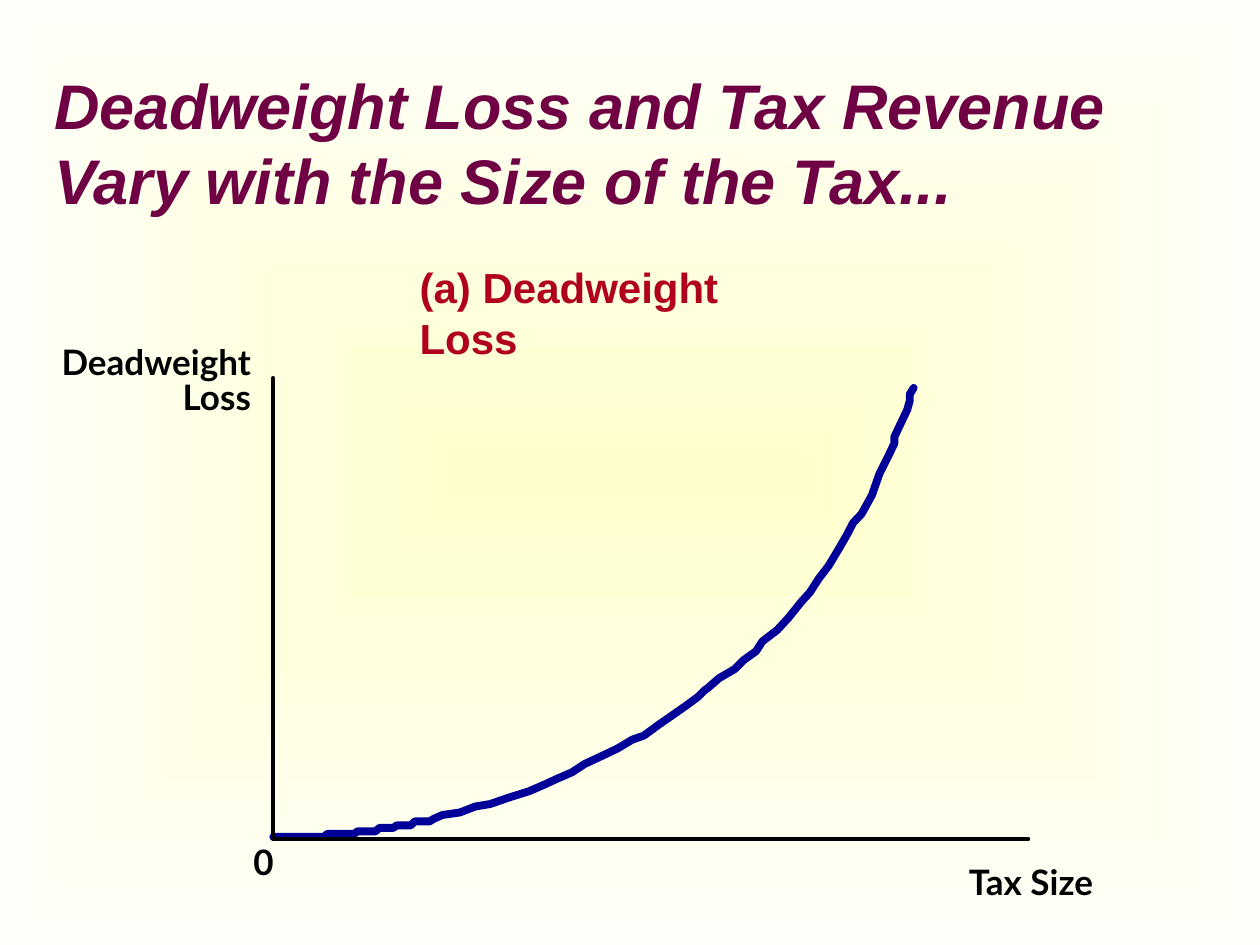
import pptx
import pptx.dml.color
import pptx.enum.text
import pptx.oxml
import pptx.oxml.ns
import pptx.util
from pptx.dml.color import RGBColor
from pptx.enum.text import MSO_ANCHOR, MSO_AUTO_SIZE, PP_ALIGN
from pptx.util import Cm

PLUM = RGBColor(0x6E, 0x00, 0x43)
RED = RGBColor(0xB0, 0x00, 0x1D)
NAVY = RGBColor(0x00, 0x00, 0x99)
BLACK = RGBColor(0x00, 0x00, 0x00)
YELLOW = RGBColor(0xFF, 0xFF, 0xCC)
IVORY = RGBColor(0xFF, 0xFF, 0xFA)

# Plot geometry in centimetres
ORIGIN_X, ORIGIN_Y = 5.51, 16.92
AXIS_TOP, AXIS_RIGHT = 7.62, 20.73

# Deadweight loss against tax size, in centimetres from the slide's corner
LOSS_CURVE = [
    (5.51, 16.87), (6.53, 16.87), (6.6, 16.81), (7.14, 16.81), (7.21, 16.76),
    (7.57, 16.76), (7.65, 16.69), (7.93, 16.69), (8, 16.64), (8.28, 16.64),
    (8.36, 16.56), (8.66, 16.56), (8.74, 16.51), (8.92, 16.43), (9.27, 16.38),
    (9.58, 16.26), (9.88, 16.21), (10.26, 16.08), (10.67, 15.95),
    (10.97, 15.82), (11.23, 15.7), (11.53, 15.57), (11.79, 15.4),
    (12.07, 15.27), (12.45, 15.09), (12.75, 14.91), (12.98, 14.83),
    (13.28, 14.61), (13.54, 14.43), (13.84, 14.22), (14.07, 14.05),
    (14.2, 13.92), (14.27, 13.87), (14.5, 13.67), (14.81, 13.49),
    (14.99, 13.31), (15.24, 13.13), (15.37, 12.93), (15.67, 12.7),
    (15.9, 12.45), (16.15, 12.14), (16.33, 11.94), (16.51, 11.66),
    (16.71, 11.4), (16.89, 11.1), (17.07, 10.79), (17.2, 10.54),
    (17.37, 10.36), (17.58, 9.98), (17.73, 9.55), (17.91, 9.19),
    (18.03, 8.94), (18.03, 8.81), (18.11, 8.64), (18.29, 8.26),
    (18.34, 8.08), (18.34, 7.95), (18.42, 7.82),
]


def set_background(slide):
    """Gradient running from the centre out to the slide's edges."""
    fill = slide.background.fill
    fill.gradient()
    for stop, color in zip(fill.gradient_stops, (YELLOW, IVORY)):
        stop.color.rgb = color
    qn = pptx.oxml.ns.qn
    gradient = next(slide._element.iter(qn("a:gradFill")))
    gradient.remove(gradient.find(qn("a:lin")))
    gradient.append(pptx.oxml.parse_xml(
        f'<a:path {pptx.oxml.ns.nsdecls("a")} path="rect">'
        '<a:fillToRect l="50000" t="50000" r="50000" b="50000"/></a:path>'))


def add_text(slide, box, lines, size, font, color, align=PP_ALIGN.LEFT,
             spacing=None, italic=False):
    """Bold text in a box without margins, one paragraph a line."""
    frame = slide.shapes.add_textbox(*map(Cm, box)).text_frame
    frame.margin_left = frame.margin_right = 0
    frame.margin_top = frame.margin_bottom = 0
    frame.word_wrap = False
    frame.auto_size = MSO_AUTO_SIZE.SHAPE_TO_FIT_TEXT
    frame.text = "\n".join(lines)
    for paragraph in frame.paragraphs:
        paragraph.alignment = align
        paragraph.line_spacing = spacing
        paragraph.font.size = pptx.util.Pt(size)
        paragraph.font.name = font
        paragraph.font.color.rgb = color
        paragraph.font.bold = True
        paragraph.font.italic = italic
    return frame


def add_title(slide, text):
    frame = add_text(slide, (0.84, 1.27, 23.93, 3.18), [text], 36, "Arial",
                     PLUM, italic=True)
    frame.auto_size = MSO_AUTO_SIZE.NONE
    frame.word_wrap = True
    frame.vertical_anchor = MSO_ANCHOR.MIDDLE
    frame.margin_left = frame.margin_right = Cm(0.25)
    frame.margin_top = frame.margin_bottom = Cm(0.13)


def add_polyline(slide, points, color, width):
    """Open line with round ends and joins."""
    start, *rest = [(Cm(x), Cm(y)) for x, y in points]
    builder = slide.shapes.build_freeform(*start)
    builder.add_line_segments(rest, close=False)
    line = builder.convert_to_shape()
    line.shadow.inherit = False
    line.fill.background()
    line.line.color.rgb = color
    line.line.width = pptx.util.Pt(width)
    outline = line._element.spPr.find(pptx.oxml.ns.qn("a:ln"))
    outline.set("cap", "rnd")
    outline.append(pptx.oxml.parse_xml(
        f'<a:round {pptx.oxml.ns.nsdecls("a")}/>'))


def main():
    deck = pptx.Presentation()
    deck.slide_width, deck.slide_height = Cm(25.4), Cm(19.05)
    slide = deck.slides.add_slide(deck.slide_layouts[6])
    set_background(slide)

    # Headings
    add_title(slide, "Deadweight Loss and Tax Revenue Vary with the Size "
                     "of the Tax...")
    add_text(slide, (8.46, 5.28, 8.23, 1.02), ["(a) Deadweight Loss"], 24,
             "Arial", RED)

    # Axis labels
    add_text(slide, (0.79, 6.99, 4.27, 1.45), ["Deadweight", "Loss"], 20,
             "Lato", BLACK, PP_ALIGN.RIGHT, 0.85)
    add_text(slide, (5.11, 16.94, 0.41, 0.84), ["0"], 20, "Lato", BLACK)
    add_text(slide, (19.53, 17.35, 2.79, 0.84), ["Tax Size"], 20, "Lato",
             BLACK)

    # Curve, then axes on top
    add_polyline(slide, LOSS_CURVE, NAVY, 4.5)
    add_polyline(slide, [(ORIGIN_X, AXIS_TOP), (ORIGIN_X, ORIGIN_Y),
                         (AXIS_RIGHT, ORIGIN_Y)], BLACK, 2.25)

    deck.save("out.pptx")


if __name__ == "__main__":
    main()
